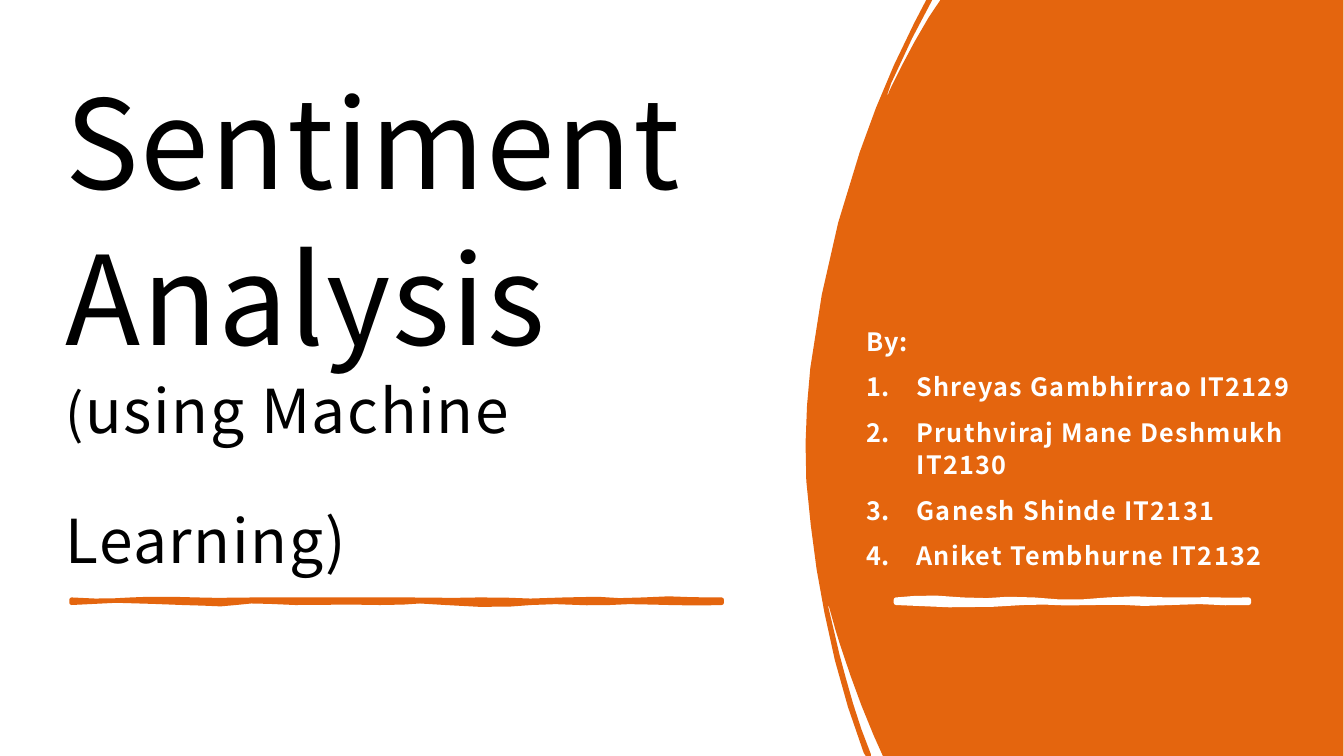
import pptx
import pptx.dml.color
import pptx.enum.text
import pptx.util
import lxml.etree

# Content
TITLE_RUNS = [  # text, size in points
    ("Sentiment\vAnalysis", 88.2),
    (" \v", 54),
    ("(", 38.7),
    ("using Machine Learning)", 43.2),
    ("\u00a0", 79.2),
]
BYLINE = "By:"
AUTHORS = [
    "Shreyas Gambhirrao IT2129",
    "Pruthviraj Mane Deshmukh IT2130",
    "Ganesh Shinde IT2131",
    "Aniket Tembhurne IT2132",
]

# Outlines in grid units: a start point, then lines (2 numbers) and curves (6 numbers)
GRID_CM = 2.54
PANEL = [
    (9.19, 0), (9.25, 0), (9.05, 0.38),
    (8.98, 0.53, 8.91, 0.68, 8.84, 0.83),
    (8.83, 0.87, 8.81, 0.91, 8.8, 0.95),
    (8.81, 0.94, 8.82, 0.92, 8.82, 0.91),
    (8.94, 0.66, 9.07, 0.41, 9.21, 0.18),
    (9.33, 0), (13.33, 0), (13.33, 7.5), (8.76, 7.5), (8.67, 7.3),
    (8.54, 7, 8.43, 6.69, 8.33, 6.38),
    (8.29, 6.26, 8.26, 6.14, 8.22, 6),
    (8.22, 6.01, 8.22, 6.02, 8.22, 6.03),
    (8.28, 6.26, 8.32, 6.49, 8.39, 6.72),
    (8.46, 6.98, 8.54, 7.24, 8.64, 7.48),
    (8.64, 7.5), (8.59, 7.5), (8.57, 7.47),
    (8.4, 7.02, 8.27, 6.55, 8.18, 6.08),
    (8.09, 5.65, 8.04, 5.21, 8, 4.77),
    (7.98, 4.4, 8, 4.02, 8.04, 3.65),
    (8.13, 2.92, 8.29, 2.2, 8.53, 1.51),
    (8.68, 1.07, 8.86, 0.64, 9.07, 0.23),
]
TITLE_STROKE = [
    (0.71, 5.95),
    (0.97, 5.97, 1.14, 5.96, 1.3, 5.95),
    (1.46, 5.94, 1.69, 5.94, 1.95, 5.95),
    (2.21, 5.96, 2.29, 5.95, 2.54, 5.95),
    (2.79, 5.95, 3, 5.95, 3.32, 5.95),
    (3.64, 5.95, 3.73, 5.95, 4.04, 5.95),
    (4.34, 5.95, 4.44, 5.96, 4.75, 5.95),
    (5.07, 5.94, 5.18, 5.98, 5.6, 5.95),
    (6.02, 5.92, 6.1, 5.98, 6.38, 5.95),
    (6.66, 5.92, 6.83, 5.96, 7.16, 5.95),
    (7.16, 5.98),
    (6.93, 5.99, 6.75, 5.98, 6.64, 5.98),
    (6.53, 5.98, 6.19, 5.96, 6.05, 5.98),
    (5.91, 6, 5.43, 5.95, 5.27, 5.98),
    (5.11, 6, 4.77, 6.01, 4.42, 5.98),
    (4.07, 5.94, 4.09, 5.99, 3.77, 5.98),
    (3.45, 5.97, 3.22, 5.98, 2.93, 5.98),
    (2.63, 5.97, 2.49, 5.95, 2.34, 5.98),
    (2.18, 6.01, 2.07, 5.98, 1.81, 5.98),
    (1.56, 5.98, 1.19, 5.93, 0.71, 5.98),
]
AUTHOR_STROKE = [
    (8.89, 5.95),
    (9.08, 5.93, 9.27, 5.92, 9.55, 5.95),
    (9.84, 5.98, 9.94, 5.92, 10.26, 5.95),
    (10.57, 5.98, 10.67, 5.98, 10.99, 5.95),
    (11.31, 5.92, 11.45, 5.96, 11.72, 5.95),
    (12, 5.94, 12.16, 5.96, 12.39, 5.95),
    (12.39, 5.98),
    (12.16, 6, 11.93, 5.95, 11.62, 5.98),
    (11.31, 6.01, 11.16, 5.96, 10.85, 5.98),
    (10.54, 6, 10.37, 5.96, 10.15, 5.98),
    (9.93, 6, 9.45, 6.02, 8.89, 5.98),
]

THEME = {
    "font": "Noto Sans CJK SC",
    "orange": pptx.dml.color.RGBColor.from_string("E4650E"),
    "white": pptx.dml.color.RGBColor.from_string("FFFFFF"),
    "black": pptx.dml.color.RGBColor.from_string("000000"),
    "author_size": 18,
    "stroke_width": 3.25,
    "line_spacing": 1.05,
}


def set_attributes(target, values):
    for name, value in values.items():
        setattr(target, name, value)


def flatten(outline, steps=3):
    """Turn lines and Bezier curves into a list of points in slide lengths."""
    points = [outline[0]]
    for segment in outline[1:]:
        if len(segment) == 2:
            points.append(segment)
            continue
        corners = [points[-1], segment[:2], segment[2:4], segment[4:]]
        for step in range(1, steps + 1):
            t = step / steps
            weights = ((1 - t) ** 3, 3 * t * (1 - t) ** 2, 3 * t * t * (1 - t), t ** 3)
            points.append(tuple(
                sum(weight * corner[axis] for weight, corner in zip(weights, corners))
                for axis in (0, 1)))
    return [tuple(pptx.util.Cm(GRID_CM * value) for value in point) for point in points]


def draw_outline(slide, outline, color, line_width=None):
    points = flatten(outline)
    builder = slide.shapes.build_freeform(*points[0])
    builder.add_line_segments(points[1:], close=True)
    shape = builder.convert_to_shape()
    shape.shadow.inherit = False
    shape.fill.solid()
    shape.fill.fore_color.rgb = color
    if line_width:
        shape.line.color.rgb = color
        shape.line.width = pptx.util.Pt(line_width)
    else:
        shape.line.fill.background()


def place_text(shape, box, bottom_margin):
    edges = zip(("left", "top", "width", "height"), box)
    set_attributes(shape, {name: pptx.util.Cm(value) for name, value in edges})
    margin = pptx.util.Cm(0.3)
    set_attributes(shape.text_frame, {
        "word_wrap": True,
        "auto_size": pptx.enum.text.MSO_AUTO_SIZE.NONE,
        "vertical_anchor": pptx.enum.text.MSO_ANCHOR.BOTTOM,
        "margin_left": margin, "margin_right": margin, "margin_top": margin,
        "margin_bottom": pptx.util.Cm(bottom_margin),
    })
    return shape.text_frame


def format_paragraph(paragraph, space_before):
    set_attributes(paragraph, {
        "alignment": pptx.enum.text.PP_ALIGN.LEFT,
        "line_spacing": THEME["line_spacing"],
        "space_before": pptx.util.Pt(space_before),
    })


def format_font(font, size, color, bold, spacing):
    set_attributes(font, {"name": THEME["font"], "size": pptx.util.Pt(size), "bold": bold})
    font.color.rgb = color
    font._element.set("spc", str(spacing))


def number_paragraph(paragraph):
    properties = paragraph._p.get_or_add_pPr()
    indent = pptx.util.Cm(1.27)
    properties.set("marL", str(indent))
    properties.set("indent", str(-indent))
    tag = pptx.oxml.ns.qn("a:buAutoNum")
    lxml.etree.SubElement(properties, tag, type="arabicPeriod")


def main():
    presentation = pptx.Presentation()
    presentation.slide_width = pptx.util.Cm(33.87)
    presentation.slide_height = pptx.util.Cm(19.05)
    slide = presentation.slides.add_slide(presentation.slide_layouts[5])

    # Title
    frame = place_text(slide.shapes.title, (1.35, 0, 18.95, 15.01), 0.25)
    paragraph = frame.paragraphs[0]
    format_paragraph(paragraph, 0)
    for text, size in TITLE_RUNS:
        for index, part in enumerate(text.split("\v")):
            if index:
                paragraph.add_line_break()
            if part:
                run = paragraph.add_run()
                run.text = part
                format_font(run.font, size, THEME["black"], False, 120)

    # Orange panel
    draw_outline(slide, PANEL, THEME["orange"])

    # Authors
    box = slide.shapes.add_textbox(0, 0, 0, 0)
    frame = place_text(box, (21.53, 8.28, 12.34, 7.95), 1.84)
    for index, text in enumerate([BYLINE] + AUTHORS):
        paragraph = frame.add_paragraph() if index else frame.paragraphs[0]
        format_paragraph(paragraph, 10)
        run = paragraph.add_run()
        run.text = text
        format_font(run.font, THEME["author_size"], THEME["white"], True, 90)
        if index:
            number_paragraph(paragraph)

    # Hand-drawn strokes
    for outline, color in ((TITLE_STROKE, "orange"), (AUTHOR_STROKE, "white")):
        draw_outline(slide, outline, THEME[color], THEME["stroke_width"])

    presentation.save("out.pptx")


if __name__ == "__main__":
    main()
